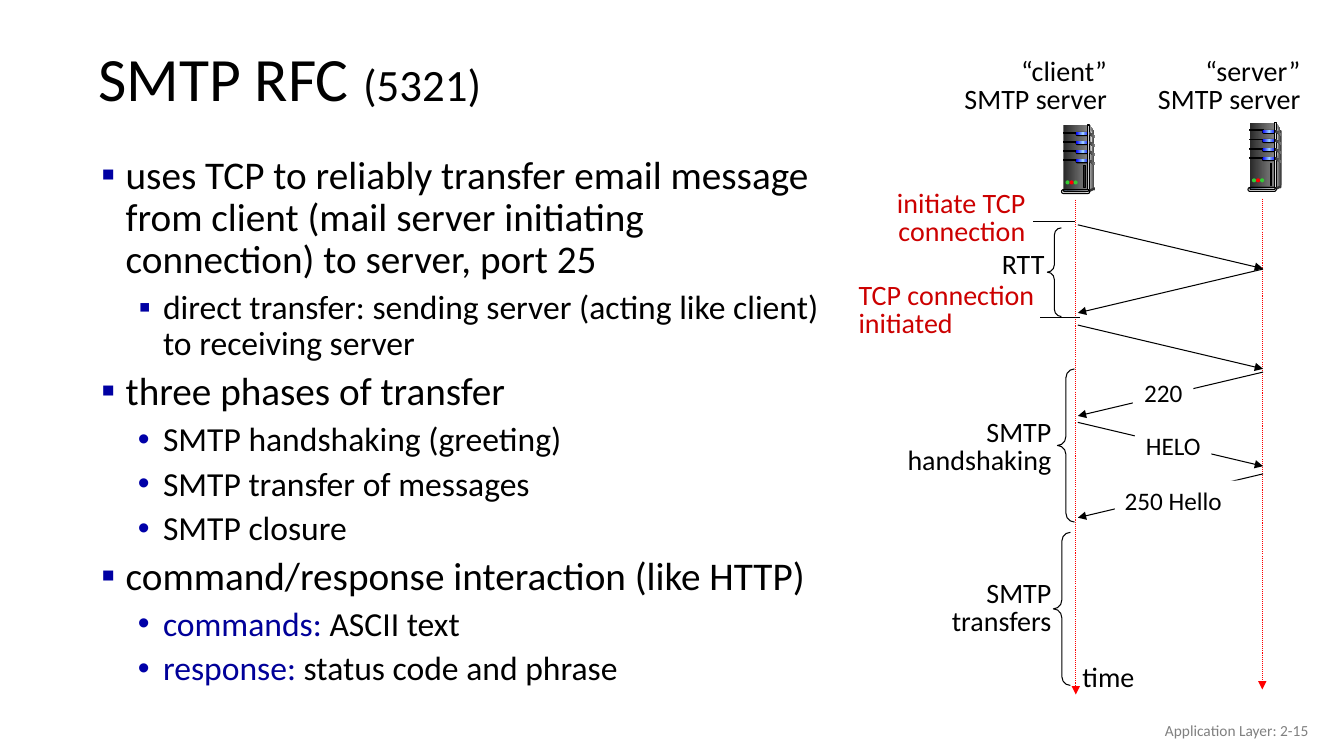
from copy import deepcopy

from lxml import etree
from pptx import Presentation
from pptx.dml.color import RGBColor
from pptx.enum.dml import MSO_LINE
from pptx.enum.shapes import MSO_CONNECTOR, MSO_SHAPE
from pptx.enum.text import MSO_ANCHOR, PP_ALIGN
from pptx.oxml.ns import qn
from pptx.util import Pt

RECTANGLE, PILL, OVAL = MSO_SHAPE.RECTANGLE, MSO_SHAPE.ROUNDED_RECTANGLE, MSO_SHAPE.OVAL
BRACE, STRAIGHT = MSO_SHAPE.LEFT_BRACE, MSO_CONNECTOR.STRAIGHT
DOTTED = MSO_LINE.ROUND_DOT
LEFT, CENTER, RIGHT = PP_ALIGN.LEFT, PP_ALIGN.CENTER, PP_ALIGN.RIGHT
TOP, MIDDLE = MSO_ANCHOR.TOP, MSO_ANCHOR.MIDDLE

BLACK, WHITE, RED, DARK_RED, NAVY = "000000", "FFFFFF", "FF0000", "CC0000", "000099"
GREEN, CHARCOAL, SILVER, GREY = "33CC33", "333333", "DDDDDD", "808080"
CASE = ("292929", GREY)
DISK_LIGHT = ("0000FF", "99CCFF", "0000FF")
SQUARE = dict(bullet="▪", bullet_color="0000A3", bullet_font="Calibri", hanging=17.3)
DOT = dict(bullet="•", bullet_color="0000A8", bullet_font="Arial", hanging=18)


def color(value):
    return RGBColor.from_string(value)


class SlideBuilder:
    font = "Calibri"
    line_width = 0.75

    def __init__(self, slide):
        self.slide = slide
        self.shapes = slide.shapes

    def paint(self, shape, fill=None, line=None):
        """Fill with one colour, or with a left-to-right gradient for a tuple."""
        shape.shadow.inherit = False
        if fill is None:
            shape.fill.background()
        elif isinstance(fill, str):
            shape.fill.solid()
            shape.fill.fore_color.rgb = color(fill)
        else:
            shape.fill.gradient()
            shape.fill.gradient_angle = 0
            stop_list = shape._element.spPr.find(".//" + qn("a:gsLst"))
            while len(stop_list) < len(fill):
                stop_list.append(deepcopy(stop_list[0]))
            for index, stop in enumerate(shape.fill.gradient_stops):
                stop.position = index / (len(fill) - 1)
                stop.color.rgb = color(fill[index])
        if line:
            shape.line.color.rgb = color(line)
            shape.line.width = Pt(self.line_width)
        else:
            shape.line.fill.background()

    def preset(self, kind, left, top, width, height, fill=None, line=None, adjustment=None):
        shape = self.shapes.add_shape(kind, Pt(left), Pt(top), Pt(width), Pt(height))
        if adjustment is not None:
            shape.adjustments[0] = adjustment
        self.paint(shape, fill, line)

    def pill(self, left, top, width, height, fill, line=None):
        self.preset(PILL, left, top, width, height, fill, line, 0.5)

    def brace(self, left, top, width, height):
        self.preset(BRACE, left, top, width, height, line=BLACK, adjustment=0.521)

    def polygon(self, left, top, points, fill):
        corners = [(Pt(left + x), Pt(top + y)) for x, y in points]
        builder = self.shapes.build_freeform(*corners[0])
        builder.add_line_segments(corners[1:], close=True)
        self.paint(builder.convert_to_shape(), fill)

    def connector(self, start, end, line=BLACK, dash=None, arrow=True):
        connector = self.shapes.add_connector(STRAIGHT, *map(Pt, start + end))
        connector.line.color.rgb = color(line)
        connector.line.width = Pt(self.line_width)
        if dash:
            connector.line.dash_style = dash
        properties = connector._element.spPr
        if arrow:
            outline = properties.find(qn("a:ln"))
            etree.SubElement(outline, qn("a:tailEnd"), type="triangle")
        etree.SubElement(properties, qn("a:effectLst"))

    def text_frame(self, left, top, width, height, anchor=TOP, wrap=True, fill=None):
        box = self.shapes.add_textbox(Pt(left), Pt(top), Pt(width), Pt(height))
        if fill:
            self.paint(box, fill)
        box.text_frame.word_wrap = wrap
        box.text_frame.vertical_anchor = anchor
        return box.text_frame

    def paragraph(self, frame, runs, align=LEFT, spacing=1.0):
        """Add a paragraph of (text, size, colour) runs."""
        paragraph = frame.paragraphs[0]
        if paragraph.runs:
            paragraph = frame.add_paragraph()
        paragraph.alignment = align
        paragraph.line_spacing = spacing
        for text, size, text_color in runs:
            run = paragraph.add_run()
            run.text = text
            run.font.name = self.font
            run.font.size = Pt(size)
            run.font.color.rgb = color(text_color)
        return paragraph

    def label(self, lines, box, size=20, text_color=BLACK, align=LEFT, spacing=0.85, **frame_style):
        frame = self.text_frame(*box, **frame_style)
        for text in lines:
            self.paragraph(frame, [(text, size, text_color)], align, spacing)

    def bullet_item(self, frame, level, runs, bullet, bullet_color, bullet_font, hanging):
        size, margin = ((28, 28), (24, 54.7))[level]
        sized_runs = [(text, size, text_color) for text, text_color in runs]
        paragraph = self.paragraph(frame, sized_runs, spacing=0.9)
        paragraph.level = level
        paragraph.space_before = Pt(6)
        properties = paragraph._p.get_or_add_pPr()
        properties.set("marL", str(Pt(margin)))
        properties.set("indent", str(-Pt(hanging)))
        holder = etree.SubElement(properties, qn("a:buClr"))
        etree.SubElement(holder, qn("a:srgbClr"), val=bullet_color)
        etree.SubElement(properties, qn("a:buFont"), typeface=bullet_font)
        etree.SubElement(properties, qn("a:buChar"), char=bullet)

    def server(self, left, top):
        """Draw a server tower with four disk bays."""
        self.polygon(left, top, [(20.2, 0), (23.8, 5.8), (23.8, 44.6), (18.7, 46.8)],
                     (SILVER, CHARCOAL))
        self.preset(RECTANGLE, left + 1.4, top, 17.3, 46.8, CASE)
        self.polygon(left, top, [(20.2, 2.9), (22, 6.5), (20.6, 26), (20.2, 45.4)],
                     (GREY, "F8F8F8"))
        bays = [5 + 6.5 * index for index in range(4)]
        for bay in bays:
            self.preset(RECTANGLE, left + 1.4, top + bay, 10, 0.7, BLACK, BLACK)
            self.pill(left + 10, top + bay, 10, 2.9, BLACK)
            self.pill(left + 10.4, top + bay, 9.4, 2.2, DISK_LIGHT)
        self.preset(RECTANGLE, left + 18.7, top, 1.4, 46.8, (CHARCOAL, SILVER, CHARCOAL), BLACK)
        for bay in bays:
            self.polygon(left, top + bay, [(19.4, 0), (23.8, 2.5), (23.8, 4.2), (19.4, 1.6)], CASE)
        self.preset(OVAL, left + 23, top + 44.6, 0.7, 2.2, CHARCOAL)
        self.polygon(left, top, [(19.4, 46.1), (19.4, 48.2), (23.8, 46.1), (23.8, 44.6)], CHARCOAL)
        self.pill(left, top + 46.1, 20.2, 2.9, SILVER, BLACK)
        self.pill(left + 1.4, top + 46.1, 18, 1.4, ("44546A", "E7E6E6"), BLACK)
        for index, light in enumerate((GREEN, RED, GREEN)):
            self.preset(OVAL, left + 2.9 * (index + 1), top + 39.6, 2.9, 2.9, light)
        self.preset(RECTANGLE, left + 15.8, top + 28.8, 1.4, 15.8, CASE[0], BLACK)


def add_body(builder):
    frame = builder.text_frame(54.7, 107.3, 542.2, 365.8)
    for level, style, runs in (
        (0, SQUARE, [("uses TCP to reliably transfer email message from client "
                      "(mail server initiating connection) to server, port 25", BLACK)]),
        (1, SQUARE, [("direct transfer: sending server (acting like client) "
                      "to receiving server", BLACK)]),
        (0, SQUARE, [("three phases of transfer", BLACK)]),
        (1, DOT, [("SMTP handshaking (greeting)", BLACK)]),
        (1, DOT, [("SMTP transfer of messages", BLACK)]),
        (1, DOT, [("SMTP closure", BLACK)]),
        (0, SQUARE, [("command/response interaction (like HTTP)", BLACK)]),
        (1, DOT, [("commands:", NAVY), (" ASCII text", BLACK)]),
        (1, DOT, [("response:", NAVY), (" status code and phrase", BLACK)]),
    ):
        builder.bullet_item(frame, level, runs, **style)


def add_timeline(builder):
    for x, top, bottom in ((768.5, 142.6, 496.1), (901.7, 141.8, 492.5)):
        builder.connector((x, top), (x, bottom), RED, DOTTED)
    client_x, server_x, travel = 769.9, 902.2, 31.3
    for index, start in enumerate((160.6, 192.2, 232.2, 265.8, 301.7, 338.5)):
        ends = (client_x, server_x) if index % 2 == 0 else (server_x, client_x)
        builder.connector((ends[0], start), (ends[1], start + travel))
    builder.connector((738, 158.4), (768.2, 158.4), arrow=False)
    builder.connector((743, 226.8), (771.1, 226.8), arrow=False)
    for left, top in ((758.2, 89.3), (891.4, 87.8)):
        builder.server(left, top)
    for text, box, align in (("220", (809.3, 265.7, 43.2, 28.8), CENTER),
                             ("250 Hello", (796.3, 343.4, 88.6, 28.8), LEFT),
                             ("HELO", (810.7, 303.8, 54.7, 28.8), CENTER)):
        builder.label([text], box, 18, align=align, spacing=1.0, fill=WHITE)
    for box in ((748.1, 162.7, 10.1, 63.4), (755.3, 263.5, 12.2, 109.4), (752.4, 380.2, 12.2, 109.4)):
        builder.brace(*box)
    for role, left in (("“client”", 676.1), ("“server”", 814.3)):
        builder.label([role, "SMTP server"], (left, 38.2, 121.7, 49), align=RIGHT, wrap=False)
    for text, top in (("SMTP handshaking", 295.9), ("SMTP transfers", 411.1)):
        builder.label([text], (627.1, top, 131, 49), align=RIGHT)
    builder.label(["initiate TCP", "connection"], (632.2, 132.5, 107.3, 49),
                  text_color=DARK_RED, align=RIGHT, wrap=False)
    builder.label(["TCP connection", "initiated"], (606.2, 198, 172.8, 49), text_color=DARK_RED)
    builder.label(["RTT"], (708.5, 176.4, 45.4, 28.1), wrap=False)
    builder.label(["time"], (766.1, 470.9, 52.6, 28.1), wrap=False)


def main():
    presentation = Presentation()
    presentation.slide_width, presentation.slide_height = Pt(960), Pt(540)
    builder = SlideBuilder(presentation.slides.add_slide(presentation.slide_layouts[6]))
    title = builder.text_frame(63, 23, 828, 70.6, anchor=MIDDLE)
    builder.paragraph(title, [("SMTP RFC ", 44, BLACK), ("(5321)", 32, BLACK)], spacing=0.9)
    add_body(builder)
    add_timeline(builder)
    builder.label(["Application Layer: 2-15"], (725.8, 507.6, 216, 28.8), 11, GREY, RIGHT, 1.0,
                  anchor=MIDDLE)
    presentation.save("out.pptx")


if __name__ == "__main__":
    main()
